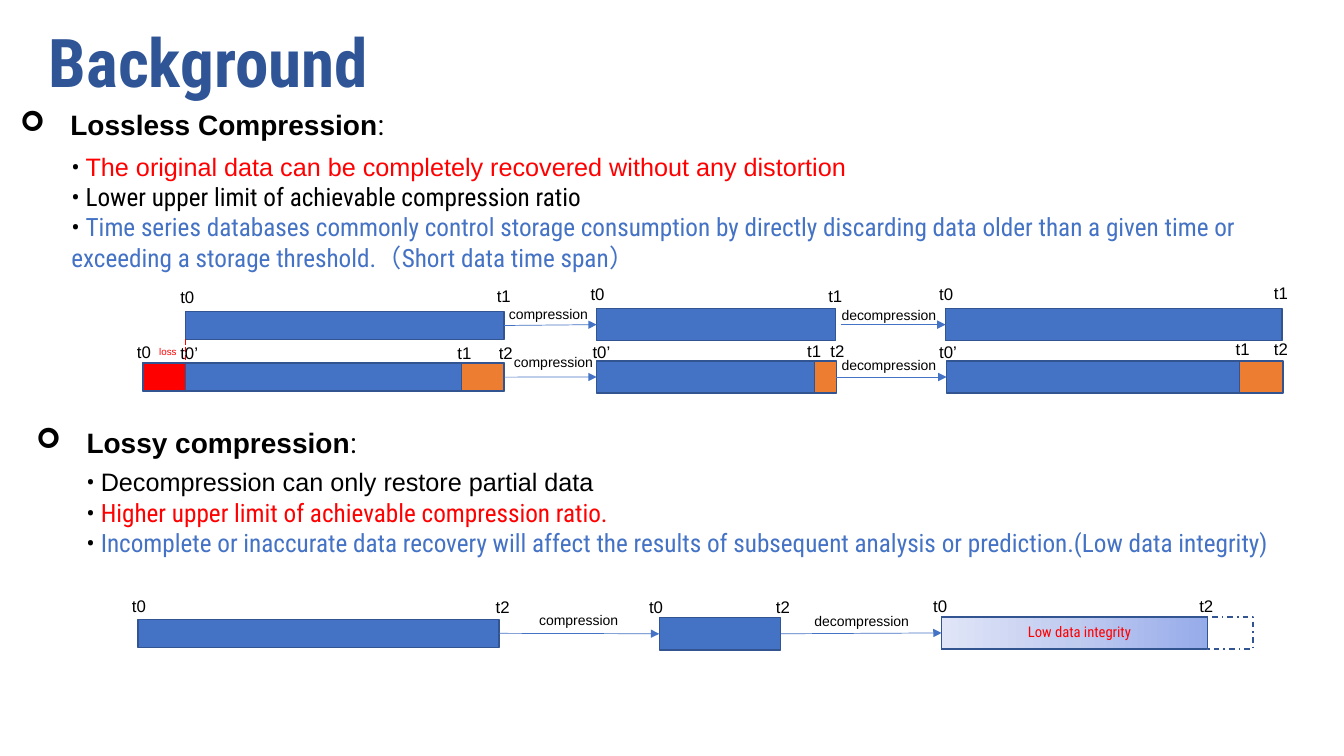
from copy import deepcopy

from lxml.etree import SubElement
from pptx import Presentation
from pptx.dml.color import RGBColor
from pptx.enum.dml import MSO_LINE
from pptx.enum.shapes import MSO_CONNECTOR, MSO_SHAPE
from pptx.enum.text import PP_ALIGN
from pptx.oxml.ns import qn
from pptx.util import Pt

BLACK, RED, BLUE, ORANGE = "000000", "FF0000", "4472C4", "ED7D31"
TITLE_BLUE, EDGE = "2F5597", "325491"
FADE = [(0, "96ABEA"), (0.5, "C0CBF0"), (1, "E0E5F7")]
SANS, CONDENSED = "Arial", "Roboto Condensed"

HEADINGS = [
    ("Lossless Compression", 7.2, 73.4, 281),
    ("Lossy compression", 18.7, 300.2, 264),
]
POINTS = [
    (7.9, 104.4, 94.3, [
        ("The original data can be completely recovered without any distortion", SANS, RED),
        ("Lower upper limit of achievable compression ratio", CONDENSED, BLACK),
        ("Time series databases commonly control storage consumption by directly discarding data "
         "older than a given time or exceeding a storage threshold.（Short data time span）",
         CONDENSED, BLUE),
    ]),
    (18.7, 329.8, 72.7, [
        ("Decompression can only restore partial data", SANS, BLACK),
        ("Higher upper limit of achievable compression ratio.", CONDENSED, RED),
        ("Incomplete or inaccurate data recovery will affect the results of subsequent analysis "
         "or prediction.(Low data integrity)", CONDENSED, BLUE),
    ]),
]
BARS = {
    "lossless raw": (132.5, 222.5, 227.5, 20, BLUE),
    "lossless packed": (426.2, 220.4, 170.6, 23, BLUE),
    "lossless restored": (675.4, 220.4, 240.5, 23, BLUE),
    "rolling raw": (102.2, 259.4, 257.8, 20, BLUE),
    "rolling raw new": (329.8, 259.4, 30.2, 20, ORANGE),
    "rolling packed": (426.2, 257.8, 170.6, 23, BLUE),
    "rolling packed new": (581.8, 257.8, 15.6, 23, ORANGE),
    "rolling restored": (676.1, 257.8, 240.5, 23, BLUE),
    "rolling restored new": (885.6, 257.8, 30.5, 23, ORANGE),
    "lossy raw": (98.6, 442.4, 257.8, 20, BLUE),
    "lossy packed": (470.9, 441.2, 86.8, 23, BLUE),
    "lossy restored": (672.6, 440.6, 190.1, 23, FADE),
    "lossy full span": (672.6, 440.6, 222.5, 23, None),
}
LOST_BAR = (102.2, 259.4, 30.3, 20, RED)
LOSS_LINE = (132.5, 242, 132.5, 280)
ARROWS = [
    ("lossless raw", "lossless packed"),
    ("rolling raw new", "rolling packed"),
    ("rolling packed new", "rolling restored"),
    ("lossy raw", "lossy packed"),
    ("lossy packed", "lossy restored"),
]
GAP_ARROW = (600.5, 231.9, "lossless restored")
STEP_LABELS = [
    ("compression", 356.4, 214.6), ("compression", 360, 249.1), ("compression", 378, 433.4),
    ("decompression", 594, 215.3), ("decompression", 594, 251.3), ("decompression", 574.6, 434.2),
]
TIME_LABELS = [
    ("t0", 121.7, 201.6), ("t1", 347.8, 200.2), ("t0", 414.7, 199.4),
    ("t1", 584.6, 200.2), ("t0", 663.8, 199.4), ("t1", 902.9, 198.7),
    ("t0", 90.7, 240.5), ("t0’", 121.7, 241.2), ("t1", 319.7, 241.2), ("t2", 349.2, 241.2),
    ("t0’", 416.2, 240.5), ("t1", 569.5, 239.8), ("t2", 586.1, 239.8),
    ("t0’", 663.8, 240.5), ("t1", 875.5, 238.3), ("t2", 902.9, 238.3),
    ("t0", 87.1, 421.9), ("t2", 347, 422.6), ("t0", 456.5, 422.6),
    ("t2", 547.2, 422.6), ("t0", 659.5, 421.9), ("t2", 849.6, 421.9),
]


def color(value):
    """Turn a hex string into a colour."""
    return RGBColor.from_string(value)


def add_frame(page, x, y, width, height):
    """Add an empty wrapping text box and return its text frame."""
    frame = page.shapes.add_textbox(Pt(x), Pt(y), Pt(width), Pt(height)).text_frame
    frame.word_wrap = True
    return frame


def style(font, size, name, fill, bold=None):
    """Set the look of a font."""
    font.size, font.name, font.bold = Pt(size), name, bold
    font.color.rgb = color(fill)


def add_label(page, text, x, y, width, height, size, name=SANS, fill=BLACK, bold=None):
    """Add a one-line label."""
    para = add_frame(page, x, y, width, height).paragraphs[0]
    para.text = text
    style(para.font, size, name, fill, bold)
    return para


def add_heading(page, text, x, y, width):
    """Add a section heading with an arrow bullet."""
    para = add_frame(page, x, y, width, 31.7).paragraphs[0]
    props = para._p.get_or_add_pPr()
    props.set("marL", str(Pt(36)))
    props.set("indent", str(-Pt(36)))
    SubElement(props, qn("a:buFont")).set("typeface", "Wingdings")
    SubElement(props, qn("a:buChar")).set("char", "➢")
    for piece, name, bold in ((text, SANS, True), (":", CONDENSED, False)):
        span = para.add_run()
        span.text = piece
        style(span.font, 20, name, BLACK, bold)


def add_points(page, x, y, height, items):
    """Add the list of points below a heading."""
    frame = add_frame(page, x, y, 933.1, height)
    for index, (text, name, fill) in enumerate(items):
        para = frame.add_paragraph() if index else frame.paragraphs[0]
        para.level = 1
        props = para._p.get_or_add_pPr()
        props.set("marL", str(Pt(36)))
        props.set("indent", "0")
        for piece, face, shade in (("• ", CONDENSED, BLACK), (text, name, fill)):
            span = para.add_run()
            span.text = piece
            style(span.font, 18, face, shade)


def add_bar(page, x, y, width, height, fill):
    """Add a data bar: solid, graded for a list, or dashed and empty for None."""
    bar = page.shapes.add_shape(MSO_SHAPE.RECTANGLE, Pt(x), Pt(y), Pt(width), Pt(height))
    bar.shadow.inherit = False
    bar.line.color.rgb = color(EDGE)
    bar.line.width = Pt(1)
    if fill is None:
        bar.fill.background()
        bar.line.dash_style = MSO_LINE.DASH_DOT
    elif isinstance(fill, list):
        bar.fill.gradient()
        bar.fill.gradient_angle = 180
        first = bar._element.spPr.find(".//" + qn("a:gs"))
        first.addnext(deepcopy(first))
        for stop, (position, shade) in zip(bar.fill.gradient_stops, fill):
            stop.position = position
            stop.color.rgb = color(shade)
    else:
        bar.fill.solid()
        bar.fill.fore_color.rgb = color(fill)
    return bar


def add_line(page, x1, y1, x2, y2, fill):
    """Add a thin straight connector without a shadow."""
    line = page.shapes.add_connector(MSO_CONNECTOR.STRAIGHT, Pt(x1), Pt(y1), Pt(x2), Pt(y2))
    line.line.color.rgb = color(fill)
    line.line.width = Pt(0.5)
    SubElement(line._element.spPr, qn("a:effectLst"))
    return line


def add_arrow(page, x, y, target):
    """Add an arrow from a point to the left side of a bar."""
    arrow = add_line(page, x, y, x, y, BLUE)
    arrow.end_connect(target, 1)
    SubElement(arrow.line._get_or_add_ln(), qn("a:tailEnd")).set("type", "triangle")
    return arrow


def main():
    """Build the slide and save it."""
    deck = Presentation()
    deck.slide_width, deck.slide_height = Pt(960), Pt(540)
    page = deck.slides.add_slide(deck.slide_layouts[6])

    title = add_label(page, "Background", 8.6, 10.8, 280.8, 65.5, 48, CONDENSED, TITLE_BLUE, True)
    title.alignment = PP_ALIGN.CENTER
    for heading in HEADINGS:
        add_heading(page, *heading)
    for points in POINTS:
        add_points(page, *points)

    bars = {name: add_bar(page, *bar) for name, bar in BARS.items()}
    add_line(page, *LOSS_LINE, RED).line.dash_style = MSO_LINE.LONG_DASH
    add_label(page, "loss", 106.6, 243.4, 46.8, 15.8, 7, fill=RED)
    add_bar(page, *LOST_BAR)
    for source, target in ARROWS:
        add_arrow(page, 0, 0, bars[target]).begin_connect(bars[source], 3)
    x, y, target = GAP_ARROW
    add_arrow(page, x, y, bars[target])

    for text, x, y in STEP_LABELS:
        add_label(page, text, x, y, 90 if text == "decompression" else 76.3, 19.4, 10)
    for text, x, y in TIME_LABELS:
        add_label(page, text, x, y, 30.2 if text.startswith("t0") else 25.2, 21.6, 12)
    add_label(page, "Low data integrity", 727.2, 441.4, 93.6, 20.9, 10.5, CONDENSED, RED)
    deck.save("out.pptx")


if __name__ == "__main__":
    main()
